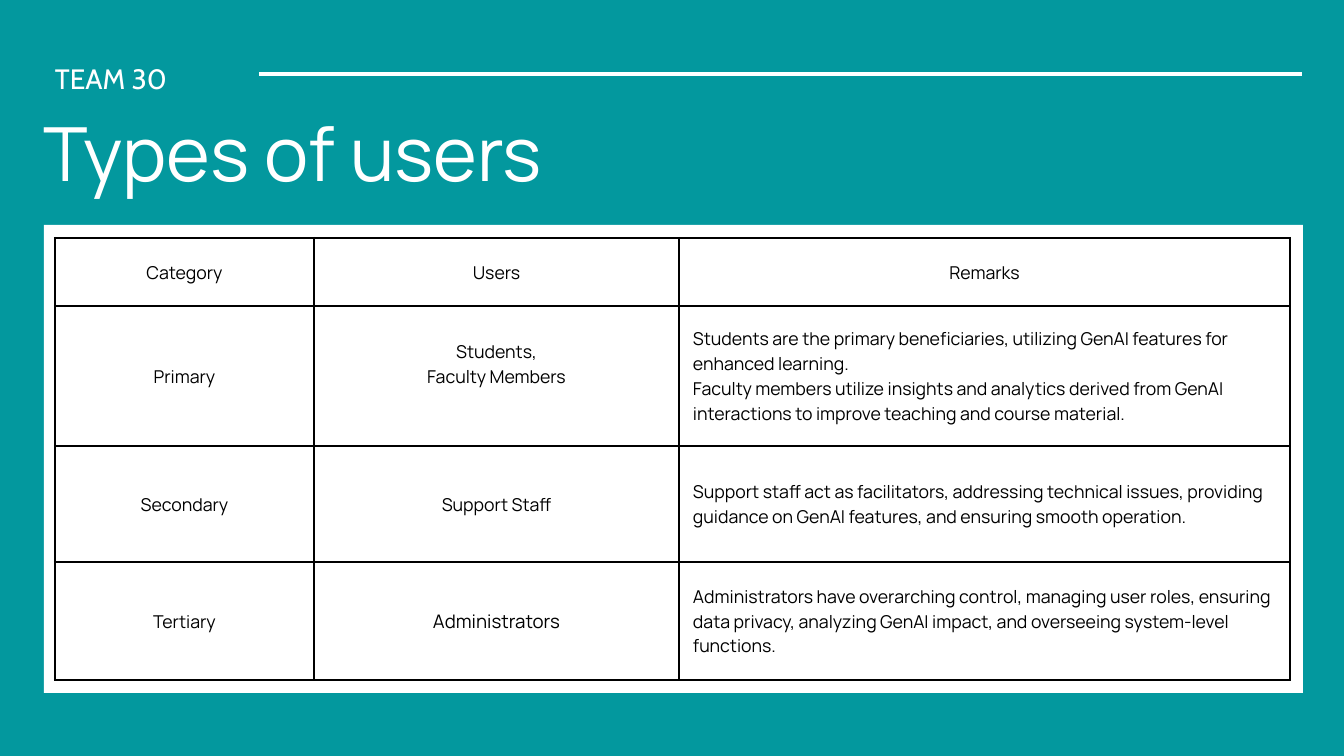
from dataclasses import dataclass

from lxml import etree
from pptx import Presentation
from pptx import util as u
from pptx.dml.color import RGBColor
from pptx.enum import shapes, text
from pptx.oxml import ns

EMU_PER_PX = 914400 / 67.2


@dataclass(frozen=True)
class Theme:
    teal: str = "03989E"
    white: str = "FFFFFF"
    black: str = "000000"
    body_font: str = "Manrope"
    label_font: str = "Cabin"
    title_size: int = 80
    label_size: int = 30
    body_size: int = 19
    large_body_size: int = 20
    rule_width: int = 4
    border_width: int = 3


THEME = Theme()


def px(*lengths):
    return [u.Emu(round(length * EMU_PER_PX)) for length in lengths]


def write(frame, words, size=THEME.body_size, font=THEME.body_font,
          color=THEME.black, align=text.PP_ALIGN.LEFT, leading=1.4):
    frame.word_wrap = True
    frame.text = words
    for paragraph in frame.paragraphs:
        paragraph.alignment = align
        paragraph.line_spacing = u.Pt(round(size * leading, 1))
        paragraph.space_before = paragraph.space_after = u.Pt(0)
        run = paragraph.runs[0].font
        run.name, run.size, run.bold = font, u.Pt(size), False
        run.color.rgb = RGBColor.from_string(color)


def clear_margins(frame):
    frame.margin_left = frame.margin_right = 0
    frame.margin_top = frame.margin_bottom = 0
    frame.vertical_anchor = text.MSO_ANCHOR.TOP


class Deck:
    def __init__(self, theme, width, height):
        self.theme = theme
        self.presentation = Presentation()
        self.presentation.slide_width, self.presentation.slide_height = px(width, height)
        self.slide = None

    def add_slide(self):
        layout = self.presentation.slide_layouts.get_by_name("Title Only")
        self.slide = self.presentation.slides.add_slide(layout)
        background = self.slide.background.fill
        background.solid()
        background.fore_color.rgb = RGBColor.from_string(self.theme.teal)

    def title(self, words, box):
        heading = self.slide.shapes.title
        heading.left, heading.top, heading.width, heading.height = px(*box)
        clear_margins(heading.text_frame)
        heading.text_frame.auto_size = text.MSO_AUTO_SIZE.NONE
        write(heading.text_frame, words, size=self.theme.title_size,
              color=self.theme.white, leading=1.1)

    def label(self, words, box):
        frame = self.slide.shapes.add_textbox(*px(*box)).text_frame
        clear_margins(frame)
        write(frame, words, size=self.theme.label_size,
              font=self.theme.label_font, color=self.theme.white)

    def rule(self, left, right, y):
        line = self.slide.shapes.add_connector(
            shapes.MSO_CONNECTOR.STRAIGHT, *px(left, y, right, y))
        line.line.color.rgb = RGBColor.from_string(self.theme.white)
        line.line.width = u.Pt(self.theme.rule_width)
        etree.SubElement(line._element.spPr, ns.qn("a:effectLst"))

    def panel(self, box):
        card = self.slide.shapes.add_shape(shapes.MSO_SHAPE.RECTANGLE, *px(*box))
        card.shadow.inherit = False
        card.fill.solid()
        card.fill.fore_color.rgb = RGBColor.from_string(self.theme.white)
        card.line.fill.background()

    def border(self, cell):
        properties = cell._tc.get_or_add_tcPr()
        for position, side in enumerate(("lnL", "lnR", "lnT", "lnB")):
            edge = etree.Element(ns.qn(f"a:{side}"),
                                 w=str(u.Pt(self.theme.border_width)))
            fill = etree.SubElement(edge, ns.qn("a:solidFill"))
            etree.SubElement(fill, ns.qn("a:srgbClr"), val=self.theme.black)
            properties.insert(position, edge)

    def table(self, left, top, widths, heights, rows, padding):
        grid = self.slide.shapes.add_table(
            len(rows), len(widths),
            *px(left, top, sum(widths), sum(heights))).table
        grid.first_row = grid.horz_banding = False
        for column, width in zip(grid.columns, px(*widths)):
            column.width = width
        for row, height, entries in zip(grid.rows, px(*heights), rows):
            row.height = height
            for cell, words in zip(row.cells, entries):
                cell.fill.background()
                self.border(cell)
                cell.vertical_anchor = text.MSO_ANCHOR.MIDDLE
                (cell.margin_left, cell.margin_right,
                 cell.margin_top, cell.margin_bottom) = px(*[padding] * 4)
                write(cell.text_frame, words, align=text.PP_ALIGN.CENTER)
        return grid


def main():
    deck = Deck(THEME, 1344, 756)
    deck.add_slide()
    deck.rule(259, 1302, 74)
    deck.label("TEAM 30", (55, 56, 170, 37))
    deck.panel((44, 225, 1259, 468))
    deck.title("Types of users", (44, 114, 635, 89))

    user_types = [
        ("Category", "Users", "Remarks"),
        ("Primary", "Students,\nFaculty Members",
         "Students are the primary beneficiaries, utilizing GenAI features for\n"
         "enhanced learning.\n"
         "Faculty members utilize insights and analytics derived from GenAI "
         "interactions to improve teaching and course material."),
        ("Secondary", "Support Staff",
         "Support staff act as facilitators, addressing technical issues, "
         "providing guidance on GenAI features, and ensuring smooth operation."),
        ("Tertiary", "Administrators",
         "Administrators have overarching control, managing user roles, "
         "ensuring data privacy, analyzing GenAI impact, and overseeing "
         "system-level functions."),
    ]
    users = deck.table(55, 238, (259, 365, 611), (68, 140, 116, 118),
                       user_types, padding=14)
    for row in range(1, len(user_types)):
        write(users.cell(row, 2).text_frame, user_types[row][2])
    write(users.cell(3, 1).text_frame, user_types[3][1],
          size=THEME.large_body_size, align=text.PP_ALIGN.CENTER)
    users.cell(1, 1).margin_bottom = px(39)[0]

    deck.presentation.save("out.pptx")


if __name__ == "__main__":
    main()
